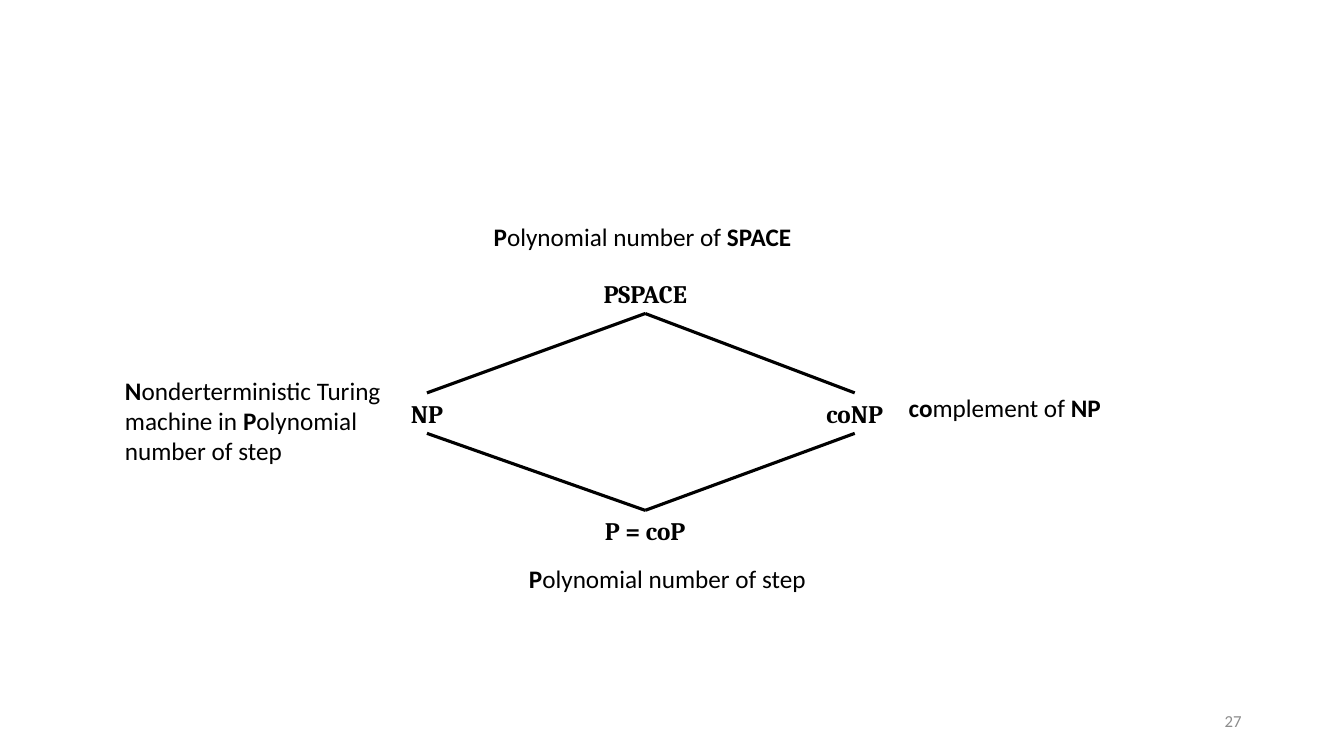
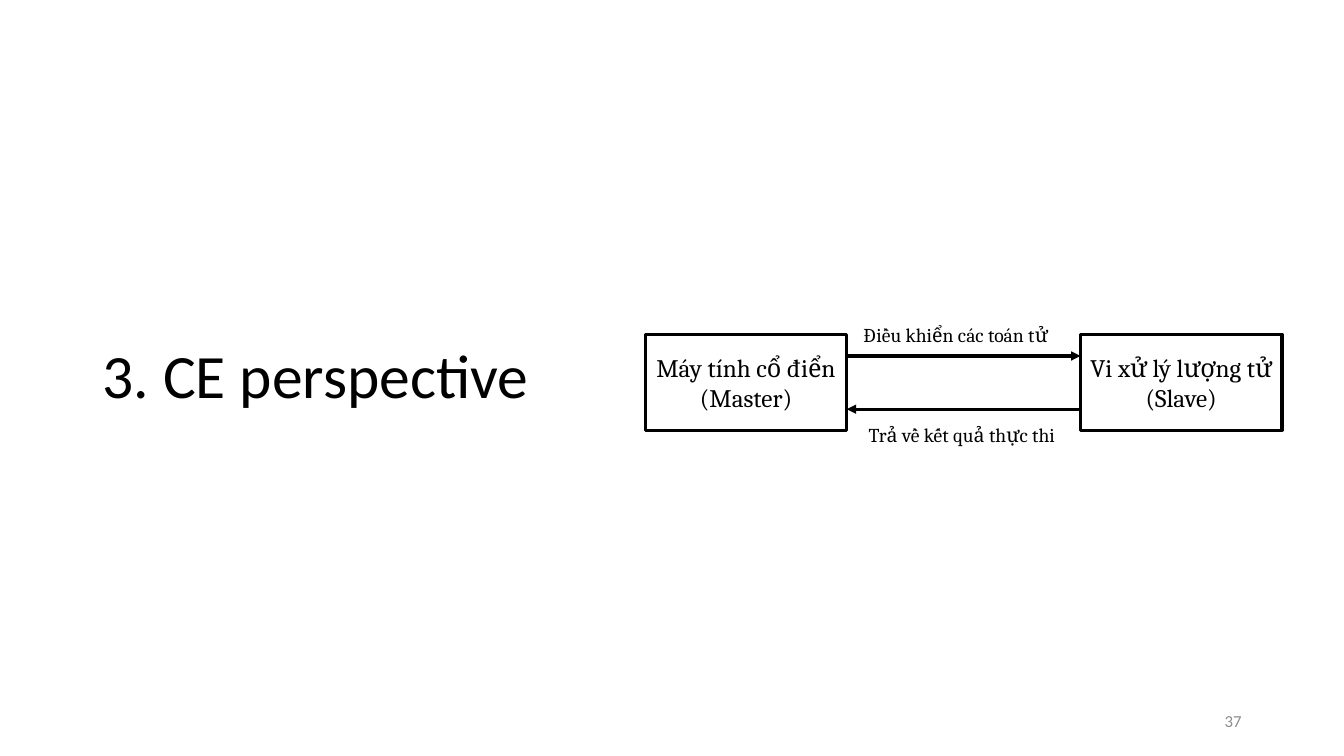
from dataclasses import dataclass

import lxml.etree
import pptx
import pptx.dml.color
import pptx.enum.shapes
import pptx.enum.text
import pptx.oxml.ns
import pptx.slide
import pptx.text.text
import pptx.util

Cm = pptx.util.Cm
Align = pptx.enum.text.PP_ALIGN
Anchor = pptx.enum.text.MSO_ANCHOR
qn = pptx.oxml.ns.qn

BLACK = pptx.dml.color.RGBColor(0x00, 0x00, 0x00)
WHITE = pptx.dml.color.RGBColor(0xFF, 0xFF, 0xFF)
GREY = pptx.dml.color.RGBColor(0x8C, 0x8C, 0x8C)
SANS = "Calibri"
SERIF = "Cambria"
STROKE = pptx.util.Pt(2.25)
ROW = 1.02


@dataclass(frozen=True)
class Style:
    face: str = SANS
    size: int = 18
    color: pptx.dml.color.RGBColor = BLACK
    bold: bool | None = None
    align: Align = Align.LEFT


@dataclass(frozen=True)
class Label:
    text: str
    left: float
    top: float
    width: float
    height: float = ROW
    style: Style = Style()
    anchor: Anchor = Anchor.TOP


@dataclass(frozen=True)
class Node:
    text: str
    mid: float
    top: float

    @property
    def base(self) -> float:
        return self.top + ROW


NODE = Style(SERIF, bold=True, align=Align.CENTER)
BOX = Style(SERIF, align=Align.CENTER)
NOTE = Style(SERIF, 14)
PAGE = Style(size=12, color=GREY, align=Align.RIGHT)
TITLE = Style(size=44)


def write(frame: pptx.text.text.TextFrame, text: str, style: Style) -> None:
    frame.word_wrap = True
    for i, line in enumerate(text.split("\n")):
        para = frame.paragraphs[0] if i == 0 else frame.add_paragraph()
        para.alignment = style.align
        para.font.name = style.face
        para.font.size = pptx.util.Pt(style.size)
        para.font.color.rgb = style.color
        para.font.bold = style.bold
        for j, part in enumerate(line.split("*")):
            if part:
                run = para.add_run()
                run.text = part
                if j % 2:
                    run.font.bold = True


def add_label(slide: pptx.slide.Slide, label: Label) -> None:
    area = map(Cm, (label.left, label.top, label.width, label.height))
    frame = slide.shapes.add_textbox(*area).text_frame
    frame.vertical_anchor = label.anchor
    write(frame, label.text, label.style)


def add_line(slide: pptx.slide.Slide, x1: float, y1: float, x2: float, y2: float,
             arrow: bool = False) -> None:
    kind = pptx.enum.shapes.MSO_CONNECTOR.STRAIGHT
    link = slide.shapes.add_connector(kind, *map(Cm, (x1, y1, x2, y2)))
    link.line.color.rgb = BLACK
    link.line.width = STROKE
    props = link._element.spPr
    if arrow:
        lxml.etree.SubElement(props.find(qn("a:ln")), qn("a:tailEnd"), type="triangle")
    lxml.etree.SubElement(props, qn("a:effectLst"))


def add_box(slide: pptx.slide.Slide, text: str, left: float, top: float,
            width: float, height: float) -> None:
    kind = pptx.enum.shapes.MSO_SHAPE.RECTANGLE
    box = slide.shapes.add_shape(kind, *map(Cm, (left, top, width, height)))
    box.shadow.inherit = False
    box.fill.solid()
    box.fill.fore_color.rgb = WHITE
    box.line.color.rgb = BLACK
    box.line.width = STROKE
    frame = box.text_frame
    frame.margin_left = frame.margin_right = Cm(0.1)
    frame.vertical_anchor = Anchor.MIDDLE
    write(frame, text, BOX)


def add_page(slide: pptx.slide.Slide, number: int) -> None:
    add_label(slide, Label(str(number), 23.92, 17.65, 7.62, ROW, PAGE, Anchor.MIDDLE))


def draw_classes(slide: pptx.slide.Slide) -> None:
    top = Node("PSPACE", 16.26, 6.88)
    left = Node("NP", 10.76, 9.9)
    right = Node("coNP", 21.54, 9.9)
    low = Node("P = coP", 16.26, 12.86)
    width = 2.84
    for node in (top, left, right, low):
        add_label(slide, Label(node.text, node.mid - width / 2, node.top, width, style=NODE))
    for side in (left, right):
        add_line(slide, top.mid, top.base, side.mid, side.top)
        add_line(slide, low.mid, low.top, side.mid, side.base)
    for label in (
        Label("*P*olynomial number of step", 13.08, 14.08, 16.94),
        Label("*P*olynomial number of *SPACE*", 12.19, 5.46, 16.94),
        Label("*N*onderterministic Turing machine in *P*olynomial number of step",
              2.9, 9.33, 8.43, 2.56),
        Label("*co*mplement of *NP*", 22.65, 9.76, 10),
    ):
        add_label(slide, label)
    add_page(slide, 27)


def draw_master(slide: pptx.slide.Slide) -> None:
    title = slide.shapes.title
    title.left, title.top, title.width, title.height = map(Cm, (2.33, 7.7, 29.21, 3.68))
    frame = title.text_frame
    frame.auto_size = pptx.enum.text.MSO_AUTO_SIZE.NONE
    frame.vertical_anchor = Anchor.MIDDLE
    write(frame, "3. CE perspective", TITLE)
    frame.paragraphs[0].line_spacing = 0.9

    left, right, top, width, height = 16.26, 27.23, 8.43, 5.08, 2.41
    add_box(slide, "Máy tính cổ điển\n(Master)", left, top, width, height)
    add_box(slide, "Vi xử lý lượng tử (Slave)", right, top, width, height)
    edge = left + width
    add_line(slide, edge, 8.97, right, 8.97, arrow=True)
    add_line(slide, right, 10.31, edge, 10.31, arrow=True)
    add_label(slide, Label("Điều khiển các toán tử", 21.51, 8, 5.6, 0.86, NOTE))
    add_label(slide, Label("Trả về kết quả thực thi", 21.64, 10.52, 5.6, 0.86, NOTE))
    add_page(slide, 37)


def main() -> None:
    deck = pptx.Presentation()
    deck.slide_width, deck.slide_height = Cm(33.87), Cm(19.05)
    bare, titled = deck.slide_layouts[6], deck.slide_layouts[5]
    draw_classes(deck.slides.add_slide(bare))
    draw_master(deck.slides.add_slide(titled))
    deck.save("out.pptx")


if __name__ == "__main__":
    main()
